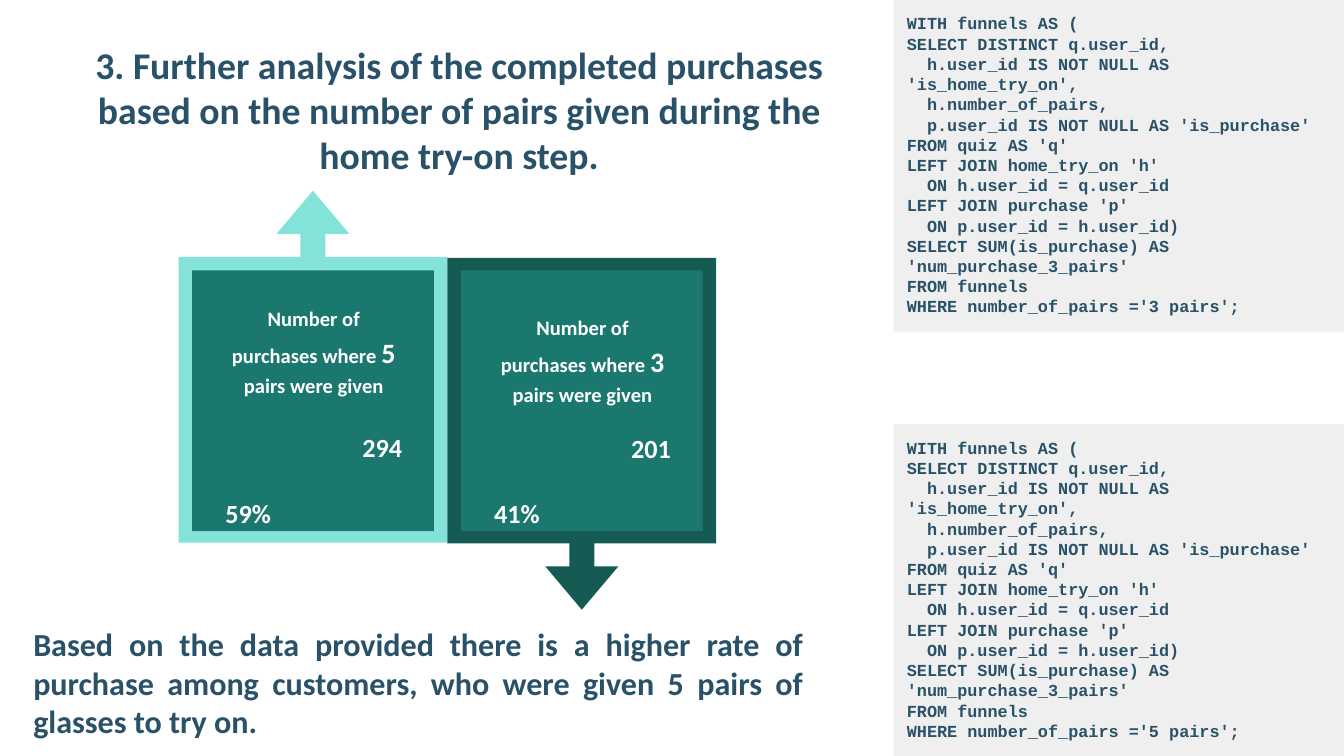
from dataclasses import dataclass

from pptx import Presentation
from pptx import util as u
from pptx.dml.color import RGBColor
from pptx.enum import shapes, text


@dataclass(frozen=True)
class Theme:
    ink: str = "295269"
    white: str = "FFFFFF"
    code_fill: str = "EFEFEF"
    panel: str = "1B786E"
    light: str = "83E3D9"
    dark: str = "155B54"
    sans: str = "Calibri"
    mono: str = "Courier New"
    title: float = 20.2
    conclusion: float = 17.2
    figure: float = 14
    pairs: float = 15
    label: float = 11
    code: float = 9


T = Theme()
A = text.PP_ALIGN

QUERY = """WITH funnels AS (
SELECT DISTINCT q.user_id,
  h.user_id IS NOT NULL AS 'is_home_try_on',
  h.number_of_pairs,
  p.user_id IS NOT NULL AS 'is_purchase'
FROM quiz AS 'q'
LEFT JOIN home_try_on 'h'
  ON h.user_id = q.user_id
LEFT JOIN purchase 'p'
  ON p.user_id = h.user_id)
SELECT SUM(is_purchase) AS 'num_purchase_3_pairs'
FROM funnels
WHERE number_of_pairs ='{pairs} pairs';"""


class SlideBuilder:
    """Holds the current slide and draws each kind of element in the theme's style."""

    def __init__(self, prs, theme=T):
        self.theme = theme
        self.s = prs.slides.add_slide(prs.slide_layouts[5])

    def fill_text(self, sp, paragraphs, font=T.sans, color=T.ink,
                  anchor=text.MSO_ANCHOR.TOP):
        """Each paragraph is (list of (text, size) runs, dict of paragraph formats)."""
        tf = sp.text_frame
        frame = dict(word_wrap=True, auto_size=text.MSO_AUTO_SIZE.NONE, vertical_anchor=anchor)
        for side in ("left", "top", "right", "bottom"):
            frame[f"margin_{side}"] = u.Cm(0.25)
        for name, value in frame.items():
            setattr(tf, name, value)
        for i, (runs, formats) in enumerate(paragraphs):
            p = tf.add_paragraph() if i else tf.paragraphs[0]
            for name, value in formats.items():
                setattr(p, name, value)
            for words, size in runs:
                r = p.add_run()
                r.text = words
                for name, value in dict(name=font, size=u.Pt(size), bold=True).items():
                    setattr(r.font, name, value)
                r.font.color.rgb = RGBColor.from_string(color)

    def title(self, words, *box):
        sp = self.s.shapes.title
        for name, value in zip(("left", "top", "width", "height"), box):
            setattr(sp, name, u.Cm(value))
        self.fill_text(sp, [([(words, self.theme.title)], dict(alignment=A.CENTER))],
                       anchor=text.MSO_ANCHOR.MIDDLE)

    def shape(self, kind, fill, *box, parent=None):
        sp = (parent or self.s).shapes.add_shape(kind, *map(u.Cm, box))
        sp.shadow.inherit = False
        sp.fill.solid()
        sp.fill.fore_color.rgb = RGBColor.from_string(fill)
        sp.line.fill.background()
        return sp

    def textbox(self, paragraphs, *box, parent=None, color=T.ink):
        sp = (parent or self.s).shapes.add_textbox(*map(u.Cm, box))
        self.fill_text(sp, paragraphs, color=color)

    def code(self, pairs, top):
        sp = self.shape(shapes.MSO_SHAPE.RECTANGLE, self.theme.code_fill,
                        16.89, top, 8.51, 6.27)
        lines = QUERY.format(pairs=pairs).split("\n")
        self.fill_text(sp, [([(line, self.theme.code)], dict(alignment=A.LEFT))
                            for line in lines], font=self.theme.mono)

    def card(self, left, pairs, count, share, fill, rotation, arrow_top, text_top, gap):
        """Arrow callout frame with an inner panel and its figures."""
        t = self.theme
        grp = self.s.shapes.add_group_shape()
        callout = self.shape(shapes.MSO_SHAPE.RIGHT_ARROW_CALLOUT, fill,
                             left - 1.04, arrow_top, 6.65, 5.08, parent=grp)
        callout.rotation = rotation
        for i, value in enumerate((0.093, 0.136, 0.161, 0.812)):
            callout.adjustments[i] = value
        self.shape(shapes.MSO_SHAPE.RECTANGLE, t.panel, left, 5.11, 4.57, 4.93, parent=grp)

        label = [("Number of purchases where ", t.label), (pairs, t.pairs),
                 (" pairs were given", t.label)]
        self.textbox([
            (label, dict(alignment=A.CENTER, line_spacing=1.15)),
            ([(count, t.figure)],
             dict(alignment=A.RIGHT, line_spacing=1.15, space_before=u.Pt(gap))),
            ([(share, t.figure)],
             dict(alignment=A.LEFT, line_spacing=1.15, space_before=u.Pt(16),
                  space_after=u.Pt(16))),
        ], left + 0.38, text_top, 3.84, 4.7, parent=grp, color=t.white)


def main():
    prs = Presentation()
    prs.slide_width, prs.slide_height = u.Cm(25.4), u.Cm(14.29)
    b = SlideBuilder(prs)

    # Heading
    b.title("3. Further analysis of the completed purchases based on the number of pairs "
            "given during the home try-on step.", 0.89, 0.48, 15.57, 3.18)

    # Queries
    b.code(3, 0)
    b.code(5, 8.02)

    # Purchase cards
    b.card(3.63, "5", "294", "59%", T.light, 270, 4.39, 5.46, 16)
    b.card(8.71, "3", "201", "41%", T.dark, 90, 5.66, 5.64, 11)

    # Conclusion
    b.textbox([([("Based on the data provided there is a higher rate of purchase among "
                  "customers, who were given 5 pairs of glasses to try on.", T.conclusion)],
                dict(alignment=A.JUSTIFY))], 0.38, 11.56, 15.04, 2.72)

    prs.save("out.pptx")


if __name__ == "__main__":
    main()
